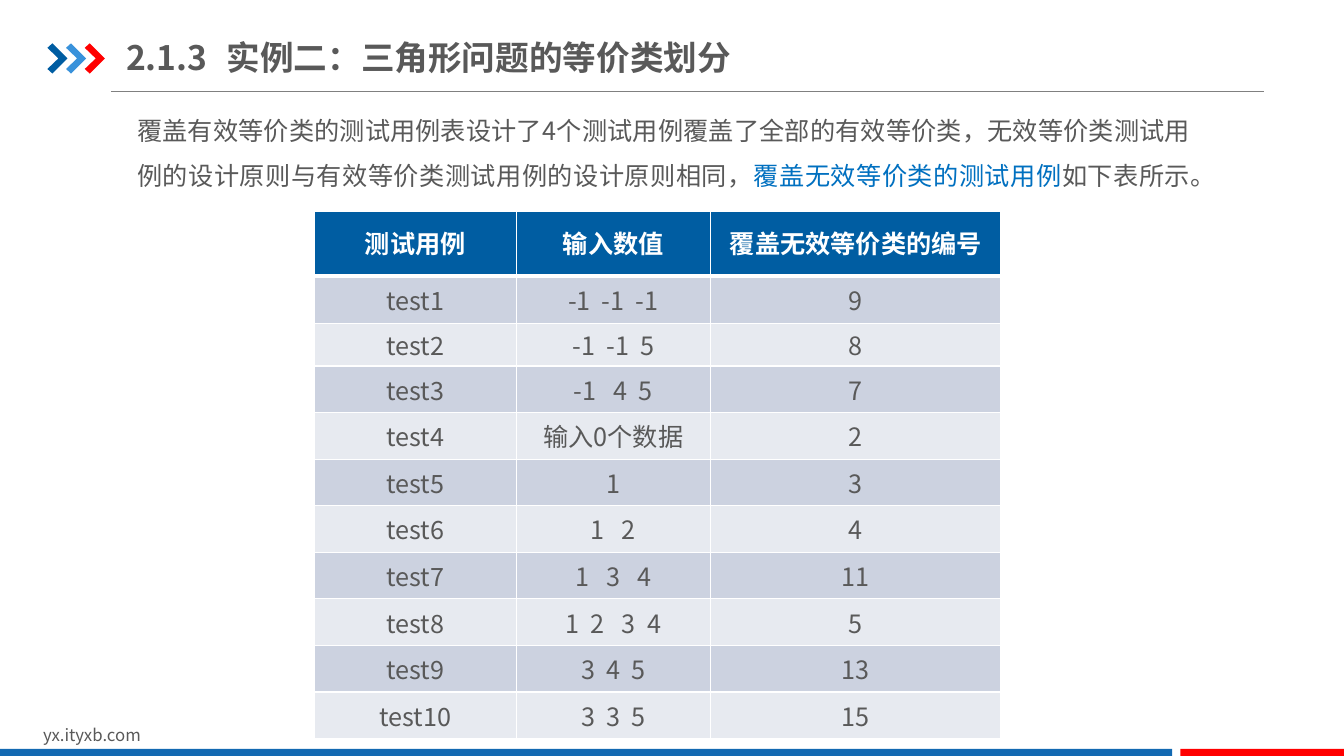
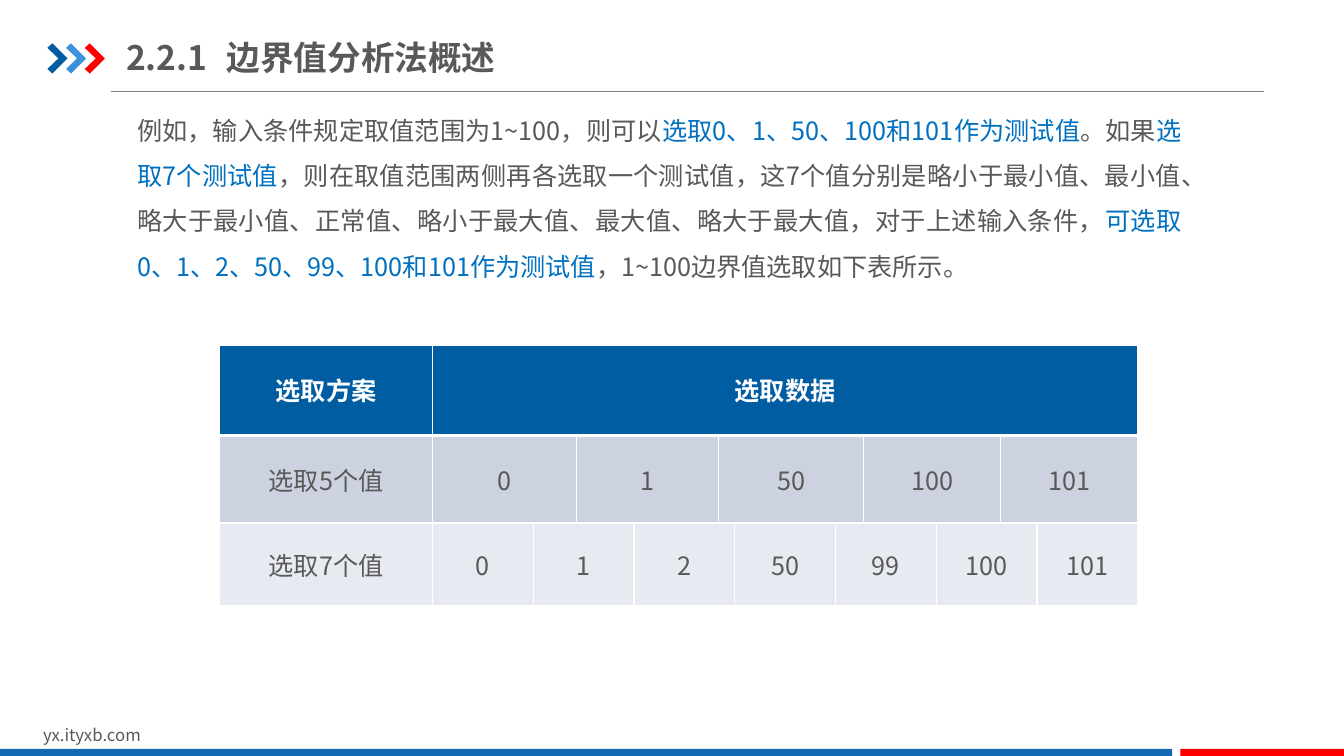
from lxml import etree
from pptx import Presentation
from pptx.dml.color import RGBColor
from pptx.enum.shapes import MSO_CONNECTOR, MSO_SHAPE
from pptx.enum.text import MSO_ANCHOR, MSO_AUTO_SIZE, PP_ALIGN
from pptx.oxml.ns import qn
from pptx.util import Inches, Pt

LEFT, CENTER, JUST = PP_ALIGN.LEFT, PP_ALIGN.CENTER, PP_ALIGN.JUSTIFY
MIDDLE, TOP = MSO_ANCHOR.MIDDLE, MSO_ANCHOR.TOP
FIXED = MSO_AUTO_SIZE.NONE
RECT, STRAIGHT = MSO_SHAPE.RECTANGLE, MSO_CONNECTOR.STRAIGHT

FONT = "Noto Sans CJK SC"
HEX = {
    "text": "595959", "key": "0070C0", "white": "FFFFFF", "rule": "808080",
    "navy": "005DA2", "sky": "3992DB", "red": "FF0000", "band": "1369B2",
    "dark": "CCD2E0", "light": "E7EAF0",
}
COLS, ROWS = 133.33, 75  # page grid, ten units to the inch
CHEVRON = [(0, 0.15), (0.25, 0), (1, 0.5), (0.25, 1), (0, 0.85), (0.55, 0.5)]


def grid(*units):
    return [Inches(u / 10) for u in units]


def rgb(name):
    return RGBColor.from_string(HEX[name])


def paint(shape, color):
    shape.shadow.inherit = False
    shape.fill.solid()
    shape.fill.fore_color.rgb = rgb(color)
    shape.line.fill.background()


def style(par, size, color=None, bold=False, align=LEFT, space=1.0):
    par.alignment = align
    par.line_spacing = space
    font = par.font
    font.name, font.size, font.bold = FONT, Pt(size), bold
    if color:
        font.color.rgb = rgb(color)
    props = par._p.pPr.find(qn("a:defRPr"))
    etree.SubElement(props, qn("a:ea")).set("typeface", FONT)


def frame(shape, side, edge, anchor=TOP):
    """Set wrapping, insets in grid units and anchor; return the text frame."""
    text = shape.text_frame
    text.word_wrap, text.auto_size = True, FIXED
    text.vertical_anchor = anchor
    text.margin_left, text.margin_right = grid(side, side)
    text.margin_top, text.margin_bottom = grid(edge, edge)
    return text


def title(slide, box, number, name):
    shape = slide.shapes.title
    shape.left, shape.top, shape.width, shape.height = grid(*box)
    text = frame(shape, 0, 0.7, MIDDLE)
    text.text = f"{number}\t{name}"
    par = text.paragraphs[0]
    par.alignment, par.line_spacing = LEFT, 1.0
    tabs = etree.SubElement(par._p.get_or_add_pPr(), qn("a:tabLst"))
    etree.SubElement(tabs, qn("a:tab"), pos=str(Inches(1)), algn="l")
    style(par, 24, "text", True)


def arrows(slide, box):
    """Draw three chevrons that share the width of the box."""
    left, top, width, height = box
    wide = 0.35 * width
    step = (width - wide) / 2
    for i, color in enumerate(("navy", "sky", "red")):
        pts = [tuple(grid(left + i * step + x * wide, top + y * height))
               for x, y in CHEVRON]
        path = slide.shapes.build_freeform(*pts[0])
        path.add_line_segments(pts[1:], close=True)
        paint(path.convert_to_shape(), color)


def header(slide, number, name):
    rule = slide.shapes.add_connector(STRAIGHT, *grid(11, 9.1, 125.4, 9.1))
    rule.line.color.rgb = rgb("rule")
    rule.line.width = Pt(0.75)
    etree.SubElement(rule._element.spPr, qn("a:effectLst"))
    arrows(slide, (4.7, 4.3, 5.7, 3))
    title(slide, (12.5, 2.9, 100, 5.5), number, name)


def footer(slide):
    site = slide.shapes.add_textbox(*grid(3.3, 71.4, 31.8, 3))
    par = frame(site, 1, 0.5).paragraphs[0]
    par.text = "yx.ityxb.com"
    style(par, 12, "text")
    top = ROWS - 0.7
    for left, right, color in ((0, 116.3, "band"), (117.1, COLS, "red")):
        bar = slide.shapes.add_shape(
            RECT, *grid(left, top, right - left, ROWS - top))
        paint(bar, color)


def body(slide, box, parts):
    """Write one paragraph; every second part is a key phrase."""
    shape = slide.shapes.add_textbox(*grid(*box))
    par = frame(shape, 1.3, 0.7).paragraphs[0]
    style(par, 18, align=JUST, space=1.5)
    for i, part in enumerate(parts):
        run = par.add_run()
        run.text = part
        run.font.color.rgb = rgb("key" if i % 2 else "text")


def border(cell, head, below):
    """Rule a cell in white, with a thick edge between head and body."""
    props = cell._tc.get_or_add_tcPr()
    thick = {"T": below, "B": head}
    for side in "LRTB":
        width = Pt(3 if thick.get(side) else 1)
        line = etree.SubElement(props, qn(f"a:ln{side}"), w=str(width))
        fill = etree.SubElement(line, qn("a:solidFill"))
        etree.SubElement(fill, qn("a:srgbClr"), val=HEX["white"])


def table(slide, spot, cols, rows, data, spans=None):
    """Fill a table; spans gives the columns each cell of a row covers."""
    box = grid(*spot, sum(cols), sum(rows))
    tab = slide.shapes.add_table(len(rows), len(cols), *box).table
    tab.horz_banding = False
    for col, width in zip(tab.columns, grid(*cols)):
        col.width = width
    for r, (row, height) in enumerate(zip(tab.rows, grid(*rows))):
        row.height = height
        head = r == 0
        shade = "navy" if head else "dark" if r % 2 else "light"
        for cell in row.cells:
            border(cell, head, r == 1)
            cell.fill.solid()
            cell.fill.fore_color.rgb = rgb(shade)
        c = 0
        for text, span in zip(data[r], spans[r] if spans else [1] * len(cols)):
            cell = tab.cell(r, c)
            if span > 1:
                cell.merge(tab.cell(r, c + span - 1))
            cell.vertical_anchor = MIDDLE
            cell.margin_top, cell.margin_bottom = grid(0.3, 0.3)
            par = cell.text_frame.paragraphs[0]
            par.text = text
            style(par, 18, "white" if head else "text", head, CENTER,
                  0.9 if head else 1.0)
            c += span


def page(deck, number, name):
    slide = deck.slides.add_slide(deck.slide_layouts[5])
    header(slide, number, name)
    footer(slide)
    return slide


def triangle(deck):
    slide = page(deck, "2.1.3", "实例二：三角形问题的等价类划分")
    body(slide, (12.3, 9.2, 107.1, 11.9), [
        "覆盖有效等价类的测试用例表设计了4个测试用例覆盖了全部的有效等价类，"
        "无效等价类测试用例的设计原则与有效等价类测试用例的设计原则相同，",
        "覆盖无效等价类的测试用例",
        "如下表所示。",
    ])
    cases = [
        ("-1  -1  -1", "9"), ("-1  -1  5", "8"), ("-1   4  5", "7"),
        ("输入0个数据", "2"), ("1", "3"), ("1   2", "4"),
        ("1   3   4", "11"), ("1  2   3  4", "5"), ("3  4  5", "13"),
        ("3  3  5", "15"),
    ]
    data = [("测试用例", "输入数值", "覆盖无效等价类的编号")]
    data += [(f"test{i}", *case) for i, case in enumerate(cases, 1)]
    table(slide, (31.2, 21), [20, 19.3, 28.8],
          [6.4, 4.7, 4.2] + [4.62] * 8, data)


def bounds(deck):
    slide = page(deck, "2.2.1", "边界值分析法概述")
    body(slide, (12.3, 9.2, 106.2, 20.2), [
        "例如，输入条件规定取值范围为1~100，则可以",
        "选取0、1、50、100和101作为测试值",
        "。如果",
        "选取7个测试值",
        "，则在取值范围两侧再各选取一个测试值，这7个值分别是略小于最小值、"
        "最小值、略大于最小值、正常值、略小于最大值、最大值、略大于最大值，"
        "对于上述输入条件，",
        "可选取0、1、2、50、99、100和101作为测试值",
        "，1~100边界值选取如下表所示。",
    ])
    data = [
        ("选取方案", "选取数据"),
        ("选取5个值", "0", "1", "50", "100", "101"),
        ("选取7个值", "0", "1", "2", "50", "99", "100", "101"),
    ]
    spans = [(1, 11), (1, 2, 2, 3, 2, 2), (1, 1, 2, 2, 1, 2, 2, 1)]
    cols = [21.1, 10, 4.3, 5.7, 8.4, 1.6, 10, 2.8, 7.2, 6.4, 3.6, 10]
    table(slide, (21.8, 34.3), cols, [8.9, 8.7, 8.2], data, spans)


def main():
    deck = Presentation()
    deck.slide_width, deck.slide_height = grid(COLS, ROWS)
    triangle(deck)
    bounds(deck)
    deck.save("out.pptx")


if __name__ == "__main__":
    main()
